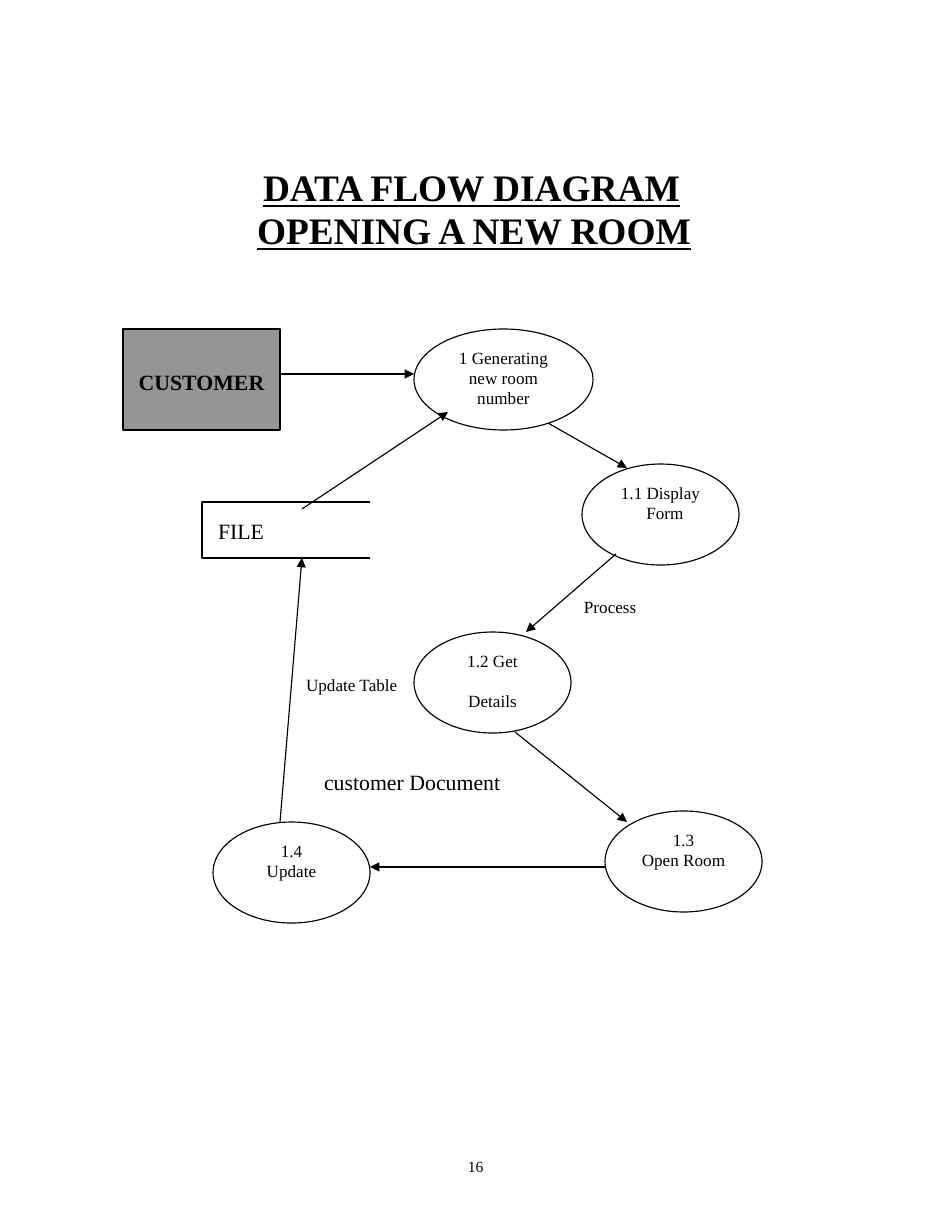
from dataclasses import dataclass

from pptx import Presentation
from pptx.dml.color import RGBColor
from pptx.enum.shapes import MSO_CONNECTOR, MSO_SHAPE
from pptx.enum.text import MSO_ANCHOR, MSO_AUTO_SIZE, PP_ALIGN
from pptx.oxml.ns import qn
from pptx.util import Emu, Pt
from lxml.etree import SubElement

COLOURS = {"ink": "000000", "customer": "959595"}
FONT = "Times New Roman"
LINE_WIDTH = 0.75
NODE_HEIGHT = 101


@dataclass
class Process:
    left: int
    top: int
    lines: tuple[str, ...]
    width: int = 157
    gap: float = 0
    last_indent: int = 0


@dataclass
class Label:
    left: int
    top: int
    width: int
    height: int
    text: str
    size: int = 11
    inset: int = 2


@dataclass
class Flow:
    start: tuple[int, int]
    end: tuple[int, int]


PROCESSES = [
    Process(414, 329, ("1 Generating", "new room", "number"), width=179),
    Process(582, 464, ("1.1 Display", "Form"), last_indent=9),
    Process(414, 632, ("1.2 Get", "Details"), gap=12.8),
    Process(605, 811, ("1.3", "Open Room")),
    Process(213, 822, ("1.4", "Update")),
]
LABELS = [
    Label(218, 516, 49, 29, "FILE", size=14),
    Label(324, 767, 179, 29, "customer Document", size=14),
    Label(584, 594, 56, 24, "Process"),
    Label(306, 672, 96, 24, "Update Table"),
    Label(468, 1157, 20, 19, "16", size=10, inset=0),
]
FLOWS = [
    Flow((280, 374), (414, 374)),
    Flow((548, 423), (627, 468)),
    Flow((616, 554), (526, 632)),
    Flow((515, 732), (627, 822)),
    Flow((605, 867), (370, 867)),
    Flow((280, 822), (302, 558)),
    Flow((302, 509), (448, 412)),
]
FILE_OUTLINE = [(370, 502), (202, 502), (202, 558), (370, 558)]


def px(pixels: float) -> Emu:
    return Emu(round(pixels * 914400 / 112))


def colour(name: str) -> RGBColor:
    return RGBColor.from_string(COLOURS[name])


def prepare_frame(frame, top_inset: int, wrap: bool = True) -> None:
    frame.margin_left = frame.margin_right = frame.margin_bottom = 0
    frame.margin_top = px(top_inset)
    frame.word_wrap = wrap
    frame.auto_size = MSO_AUTO_SIZE.NONE
    frame.vertical_anchor = MSO_ANCHOR.TOP


def format_text(frame, size: int, bold: bool = False, underline: bool = False,
                align: PP_ALIGN = PP_ALIGN.LEFT, spacing: float | None = None) -> None:
    for paragraph in frame.paragraphs:
        paragraph.alignment = align
        if spacing:
            paragraph.line_spacing = Pt(spacing)
        for run in paragraph.runs:
            run.font.name = FONT
            run.font.size = Pt(size)
            run.font.bold = bold
            run.font.underline = underline
            run.font.color.rgb = colour("ink")


def indent(paragraph, left: int, first: int = 0) -> None:
    properties = paragraph._p.get_or_add_pPr()
    properties.set("marL", str(px(left)))
    properties.set("indent", str(px(first)))


def outline(shape) -> None:
    shape.shadow.inherit = False
    shape.line.color.rgb = colour("ink")
    shape.line.width = Pt(LINE_WIDTH)


def draw_title(slide) -> None:
    title = slide.shapes.title
    title.left, title.top, title.width, title.height = map(px, (243, 162, 466, 91))
    frame = title.text_frame
    prepare_frame(frame, 4)
    frame.text = "DATA FLOW DIAGRAM OPENING A NEW ROOM"
    format_text(frame, 24, bold=True, underline=True, spacing=27.6)
    frame.paragraphs[0].space_before = Pt(2.9)
    indent(frame.paragraphs[0], 14, 6)


def draw_customer(slide) -> None:
    customer = slide.shapes.add_shape(
        MSO_SHAPE.RECTANGLE, px(123), px(329), px(157), px(NODE_HEIGHT))
    outline(customer)
    customer.fill.solid()
    customer.fill.fore_color.rgb = colour("customer")
    frame = customer.text_frame
    prepare_frame(frame, 4)
    frame.vertical_anchor = MSO_ANCHOR.MIDDLE
    frame.text = "CUSTOMER"
    format_text(frame, 14, bold=True, align=PP_ALIGN.CENTER)


def draw_process(slide, process: Process) -> None:
    ellipse = slide.shapes.add_shape(
        MSO_SHAPE.OVAL, px(process.left), px(process.top), px(process.width), px(NODE_HEIGHT))
    outline(ellipse)
    ellipse.fill.background()
    frame = ellipse.text_frame
    prepare_frame(frame, 4)
    frame.text = "\n".join(process.lines)
    format_text(frame, 11, align=PP_ALIGN.CENTER, spacing=12.8)
    for paragraph in frame.paragraphs[1:]:
        paragraph.space_before = Pt(process.gap)
    indent(frame.paragraphs[-1], process.last_indent)


def draw_label(slide, label: Label) -> None:
    caption = slide.shapes.add_textbox(
        px(label.left), px(label.top), px(label.width), px(label.height))
    prepare_frame(caption.text_frame, label.inset, wrap=False)
    caption.text_frame.text = label.text
    format_text(caption.text_frame, label.size)


def draw_flow(slide, flow: Flow) -> None:
    arrow = slide.shapes.add_connector(
        MSO_CONNECTOR.STRAIGHT, *map(px, flow.start + flow.end))
    arrow.line.color.rgb = colour("ink")
    arrow.line.width = Pt(LINE_WIDTH)
    SubElement(arrow.line._get_or_add_ln(), qn("a:tailEnd"), type="triangle")
    SubElement(arrow._element.spPr, qn("a:effectLst"))


def draw_file_store(slide) -> None:
    start, *corners = [(px(x), px(y)) for x, y in FILE_OUTLINE]
    builder = slide.shapes.build_freeform(*start)
    builder.add_line_segments(corners, close=False)
    store = builder.convert_to_shape()
    outline(store)
    store.fill.background()


def build() -> None:
    deck = Presentation()
    deck.slide_width, deck.slide_height = px(952), px(1232)
    slide = deck.slides.add_slide(deck.slide_layouts[5])
    draw_title(slide)
    draw_customer(slide)
    draw_file_store(slide)
    for process in PROCESSES:
        draw_process(slide, process)
    for flow in FLOWS:
        draw_flow(slide, flow)
    for label in LABELS:
        draw_label(slide, label)
    deck.save("out.pptx")


build()
